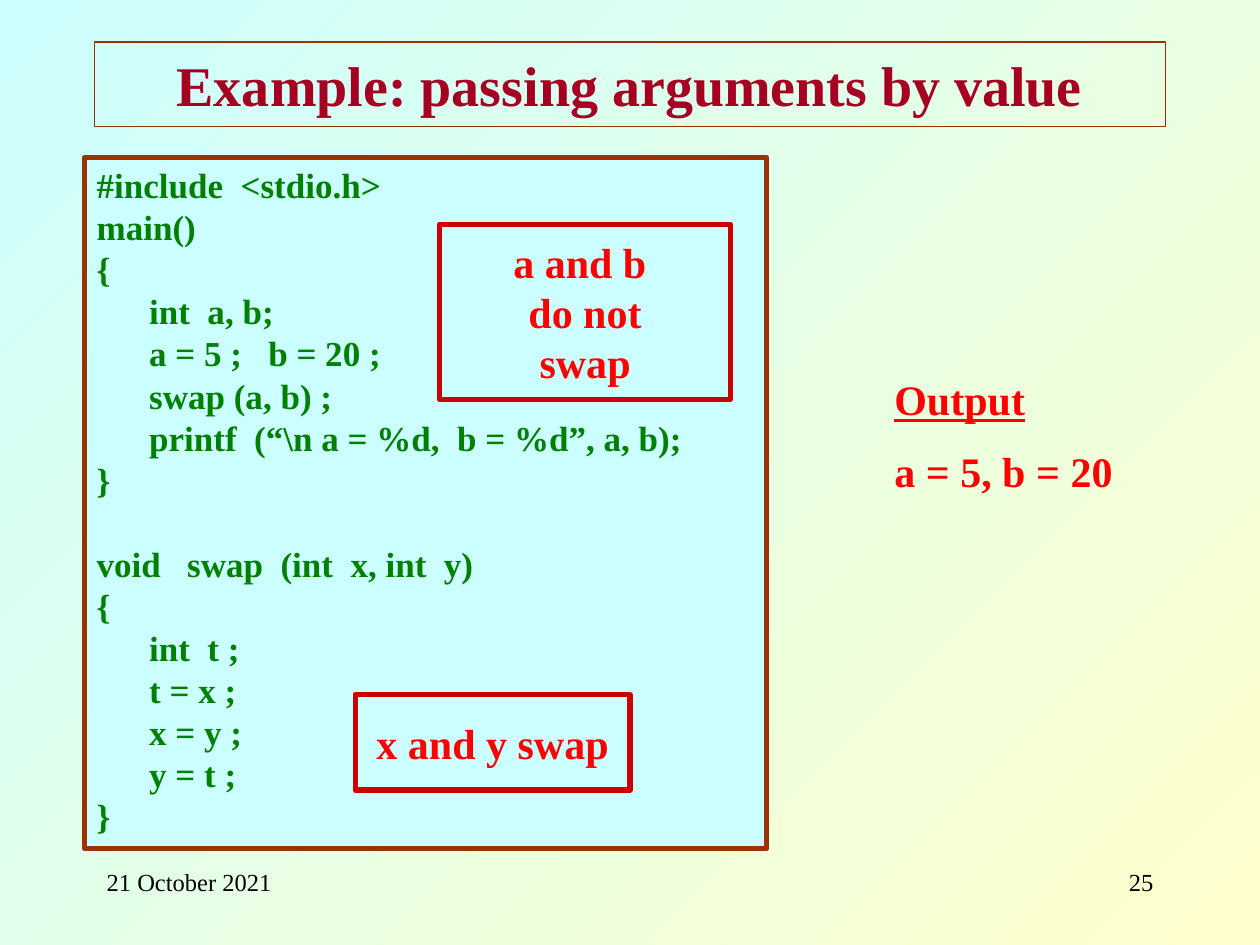
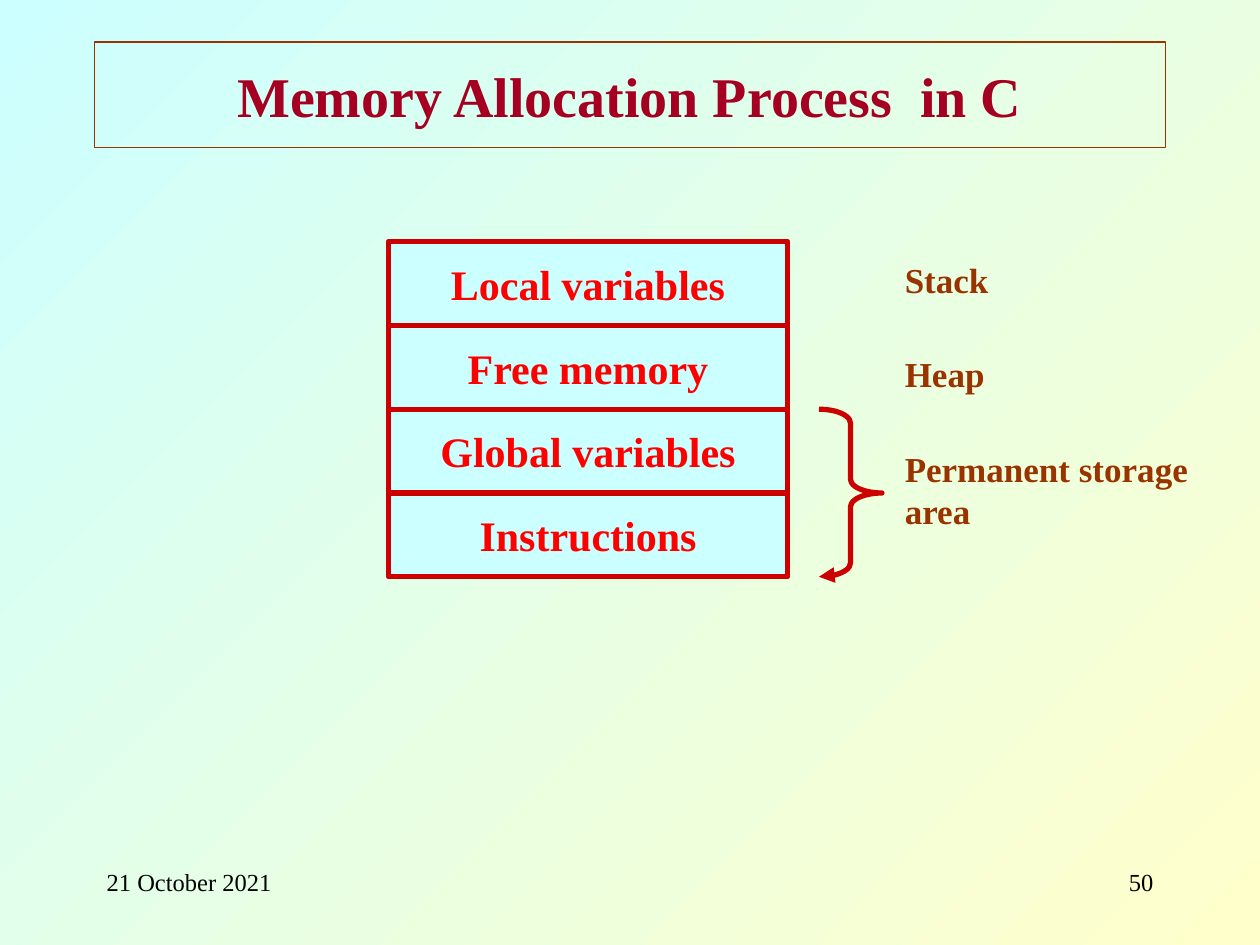
from dataclasses import dataclass

from lxml.etree import SubElement
from pptx import Presentation
from pptx.dml.color import RGBColor as RGB
from pptx.enum.shapes import MSO_SHAPE as SHAPE
from pptx.enum.text import MSO_ANCHOR as ANCHOR, PP_ALIGN as ALIGN
from pptx.oxml.ns import qn
from pptx.util import Cm, Pt


@dataclass(frozen=True)
class Theme:
    font: str = "Times New Roman"
    cyan: str = "CCFFFF"
    cream: str = "FFFFCC"
    brown: str = "993300"
    crimson: str = "A50021"
    green: str = "008000"
    red: str = "FF0000"
    frame: str = "CC0000"
    black: str = "000000"
    title_size: int = 32
    note_size: int = 24
    body_size: int = 20
    footer_size: int = 14
    thin: float = 0.75
    thick: float = 3


T = Theme()
TITLE = {"size": Pt(T.title_size), "bold": True, "color": T.crimson}
NOTE = {"size": Pt(T.note_size), "bold": True, "color": T.red}
HEADING = {**NOTE, "underline": True}
CODE = {"size": Pt(T.body_size), "bold": True, "color": T.green}
LABEL = {"size": Pt(T.body_size), "bold": True, "color": T.brown}
FOOTER = {"size": Pt(T.footer_size), "bold": False, "color": T.black}

CALL_CODE = r"""#include  <stdio.h>
main()
{
      int  a, b;
      a = 5 ;   b = 20 ;
      swap (a, b) ;
      printf  (“\n a = %d,  b = %d”, a, b);
}"""
SWAP_CODE = """void   swap  (int  x, int  y)
{
      int  t ;
      t = x ;
      x = y ;
      y = t ;
}"""


# Text
def write(s, lines, align=ALIGN.LEFT, anchor=ANCHOR.TOP, wrap=True):
    """Fill a shape with (text, format, space before) lines."""
    tf = s.text_frame
    tf.word_wrap = wrap
    tf.vertical_anchor = anchor
    for i, (text, style, before) in enumerate(lines):
        p = tf.add_paragraph() if i else tf.paragraphs[0]
        p.alignment = align
        p.space_before = Pt(before)
        r = p.add_run()
        r.text = text
        for name, value in {"name": T.font, **style}.items():
            if name == "color":
                r.font.color.rgb = RGB.from_string(value)
            else:
                setattr(r.font, name, value)


def add_text(slide, box, lines, align=ALIGN.LEFT):
    write(slide.shapes.add_textbox(*map(Cm, box)), lines, align)


# Shapes
def add_outline(slide, box, color, width, fill=None, kind=SHAPE.RECTANGLE):
    s = slide.shapes.add_shape(kind, *map(Cm, box))
    s.shadow.inherit = False
    if fill:
        s.fill.solid()
        s.fill.fore_color.rgb = RGB.from_string(fill)
    else:
        s.fill.background()
    s.line.color.rgb = RGB.from_string(color)
    s.line.width = Pt(width)
    return s


def add_note(slide, box, *texts):
    s = add_outline(slide, box, T.frame, T.thick, T.cyan)
    write(s, [(text, NOTE, 0) for text in texts],
          ALIGN.CENTER, ANCHOR.MIDDLE, wrap=False)


def add_code(slide, box, *blocks):
    """Show code blocks with one line's height between them."""
    lines = []
    for block in blocks:
        for i, text in enumerate(block.splitlines()):
            lines.append((text, CODE, 24 if lines and i == 0 else 0))
    write(add_outline(slide, box, T.brown, T.thick, T.cyan), lines)


def add_brace(slide, box):
    s = add_outline(slide, box, T.frame, T.thick, kind=SHAPE.RIGHT_BRACE)
    s.adjustments[0] = 0.22
    ln = s._element.spPr.find(qn("a:ln"))
    SubElement(ln, qn("a:tailEnd"), type="triangle")


# Shared frame of every slide
def add_slide(prs, title, title_height, number):
    slide = prs.slides.add_slide(prs.slide_layouts[6])
    fill = slide.background.fill
    fill.gradient()
    fill.gradient_angle = 315
    for stop, color in zip(fill.gradient_stops, (T.cyan, T.cream)):
        stop.color.rgb = RGB.from_string(color)
    add_text(slide, (1.9, 17.35, 5.3, 1.27), [("21 October 2021", FOOTER, 0)])
    add_text(slide, (18.2, 17.35, 5.3, 1.27), [(str(number), FOOTER, 0)],
             ALIGN.RIGHT)
    s = add_outline(slide, (1.9, 0.85, 21.6, title_height), T.brown, T.thin)
    write(s, [(title, TITLE, 0)], ALIGN.CENTER, ANCHOR.MIDDLE)
    return slide


# Slides
def build_by_value(prs):
    slide = add_slide(prs, "Example: passing arguments by value", 1.7, 25)
    add_code(slide, (1.7, 3.18, 13.76, 13.92), CALL_CODE, SWAP_CODE)
    add_text(slide, (17.78, 7.41, 6.35, 2.8),
             [("Output", HEADING, 0), ("a = 5, b = 20", NOTE, 12)])
    add_note(slide, (7.16, 14, 5.54, 1.93), "x and y swap")
    add_note(slide, (8.86, 4.52, 5.87, 3.53), "a and b ", "do not", "swap")


def build_memory(prs):
    slide = add_slide(prs, "Memory Allocation Process  in C", 2.12, 50)
    top, height = 4.87, 1.69
    regions = ("Local variables", "Free memory", "Global variables",
               "Instructions")
    for i, region in enumerate(regions):
        add_note(slide, (7.83, top + i * height, 8.05, height), region)

    # The brace spans the last two regions
    add_brace(slide, (16.51, top + 2 * height, 1.27, 2 * height))
    labels = ("Stack", "Heap", "Permanent storage area")
    for i, label in enumerate(labels):
        add_text(slide, (17.99, 5.08 + i * 1.91, 6.77, 1.1),
                 [(label, LABEL, 0)])


def main():
    prs = Presentation()
    prs.slide_width, prs.slide_height = Cm(25.4), Cm(19.05)
    build_by_value(prs)
    build_memory(prs)
    prs.save("out.pptx")


if __name__ == "__main__":
    main()
